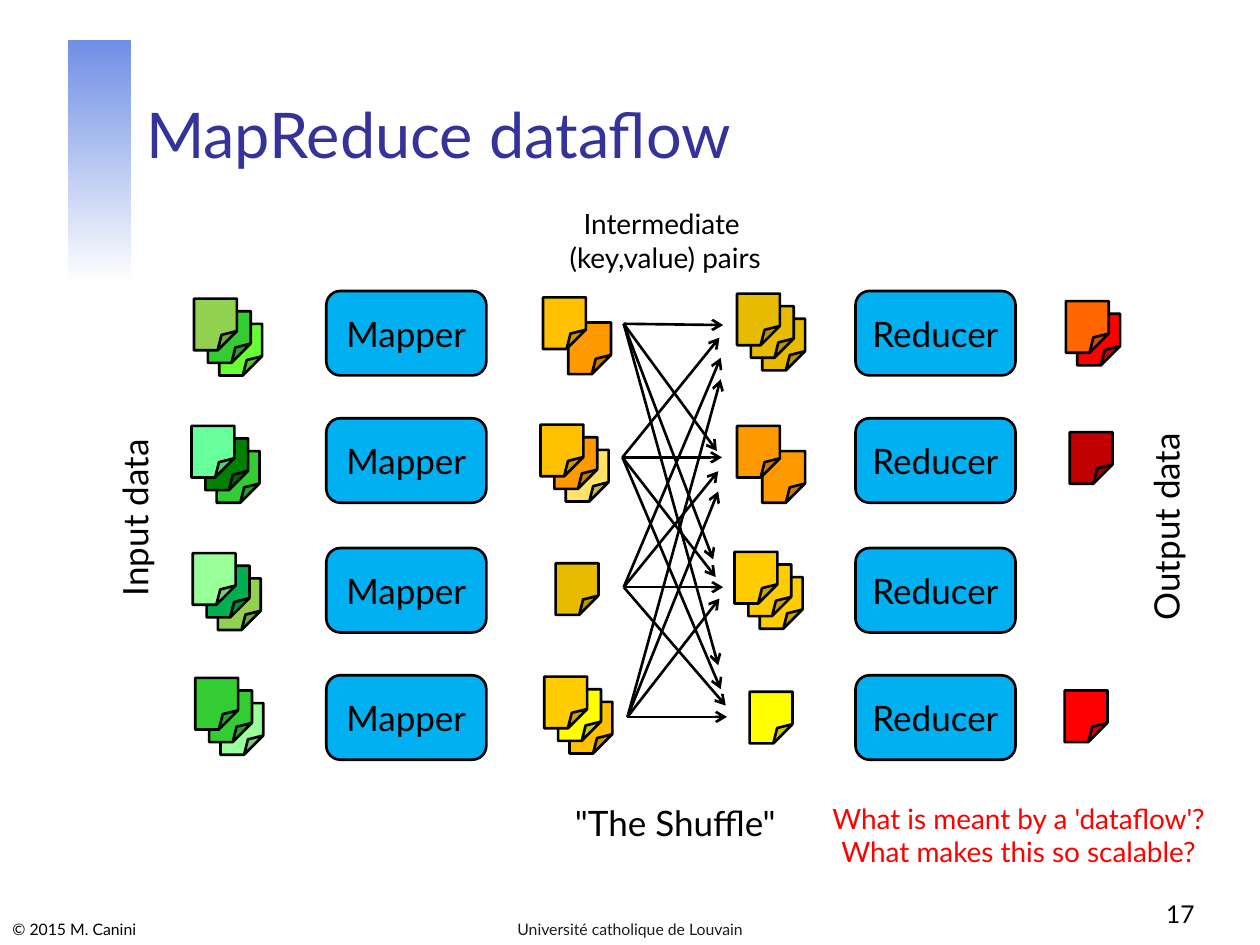
from lxml import etree
from pptx import Presentation
from pptx.dml.color import RGBColor
from pptx.enum.shapes import MSO_CONNECTOR, MSO_SHAPE
from pptx.enum.text import MSO_ANCHOR, PP_ALIGN
from pptx.oxml.ns import qn
from pptx.util import Inches, Pt

STRAIGHT = MSO_CONNECTOR.STRAIGHT
RECTANGLE, ROUNDED, FOLDED = MSO_SHAPE.RECTANGLE, MSO_SHAPE.ROUNDED_RECTANGLE, MSO_SHAPE.FOLDED_CORNER
TOP, MIDDLE, BOTTOM = MSO_ANCHOR.TOP, MSO_ANCHOR.MIDDLE, MSO_ANCHOR.BOTTOM
LEFT, CENTER, RIGHT = PP_ALIGN.LEFT, PP_ALIGN.CENTER, PP_ALIGN.RIGHT
FONT = "Lato"
BLACK, RED, BLUE = "000000", "FF0000", "00B0F0"

ROW_TOPS = (2.31, 3.32, 4.35, 5.36)
STAGES = {"Mapper": 2.59, "Reducer": 6.79}
STAGE_SIZE = (1.27, 0.67)
SHEET_SIZE = (0.34, 0.41)

# Offsets of the sheets in a stack, front sheet first
SINGLE = ((0, 0),)
NEAR = ((0, 0), (0.09, 0.1))
WIDE = ((0, 0), (0.2, 0.2))
TRIPLE = ((0, 0), (0.11, 0.1), (0.2, 0.2))

# Left, top, offsets and colours from front to back
STACKS = (
    # Input data
    (1.54, 2.37, TRIPLE, ("92D050", "33CC33", "66FF33")),
    (1.52, 3.38, TRIPLE, ("66FF99", "008000", "33CC33")),
    (1.53, 4.39, TRIPLE, ("99FF99", "00B050", "92D050")),
    (1.55, 5.38, TRIPLE, ("33CC33", "33CC33", "99FF99")),
    # Mapper results
    (4.31, 2.36, WIDE, ("FFC000", "FF9900")),
    (4.29, 3.37, TRIPLE, ("FFC000", "FF9900", "FFE267")),
    (4.41, 4.47, SINGLE, ("E7BB01",)),
    (4.32, 5.37, TRIPLE, ("FFCC00", "FFFF00", "FFC000")),
    # Reducer inputs
    (5.85, 2.33, TRIPLE, ("E7BB01",) * 3),
    (5.85, 3.38, WIDE, ("FF9900",) * 2),
    (5.83, 4.38, TRIPLE, ("FFCC00",) * 3),
    (5.95, 5.49, SINGLE, ("FFFF00",)),
    # Output data
    (8.46, 2.39, NEAR, ("FF6600", RED)),
    (8.49, 3.43, SINGLE, ("C00000",)),
    (8.45, 5.48, SINGLE, (RED,)),
)

# Start of each mapper's arrows, then their ends at the four reducers
SHUFFLE = (
    ((4.95, 2.57), ((5.74, 2.58), (5.69, 3.58), (5.66, 4.44), (5.7, 5.28))),
    ((4.94, 3.63), ((5.71, 2.68), (5.73, 3.63), (5.68, 4.58), (5.72, 5.47))),
    ((4.95, 4.66), ((5.72, 2.84), (5.7, 3.74), (5.74, 4.66), (5.76, 5.6))),
    ((4.98, 5.69), ((5.72, 3.01), (5.7, 3.9), (5.71, 4.75), (5.77, 5.69))),
)


def rgb(value):
    return RGBColor.from_string(value)


def inches(*lengths):
    return [Inches(length) for length in lengths]


def format_text(frame, size, color=BLACK, align=CENTER, anchor=TOP):
    frame.vertical_anchor = anchor
    for para in frame.paragraphs:
        para.alignment = align
        para.font.name = FONT
        para.font.size = Pt(size)
        para.font.color.rgb = rgb(color)


def add_label(page, text, place, size, color=BLACK, align=CENTER, anchor=TOP, wrap=False, rotation=0):
    box = page.shapes.add_textbox(*inches(*place))
    box.rotation = rotation
    frame = box.text_frame
    frame.word_wrap = wrap
    frame.text = text
    format_text(frame, size, color, align, anchor)


def add_outlined(page, kind, left, top, size, color):
    shape = page.shapes.add_shape(kind, *inches(left, top, *size))
    shape.shadow.inherit = False
    shape.fill.solid()
    shape.fill.fore_color.rgb = rgb(color)
    shape.line.color.rgb = rgb(BLACK)
    shape.line.width = Pt(1.5)
    return shape


def add_stage(page, name, left, top):
    box = add_outlined(page, ROUNDED, left, top, STAGE_SIZE, BLUE)
    box.text_frame.text = name
    format_text(box.text_frame, 20, anchor=MIDDLE)


def add_stack(page, left, top, offsets, colors):
    for (right, down), color in reversed(list(zip(offsets, colors))):
        sheet = add_outlined(page, FOLDED, left + right, top + down, SHEET_SIZE, color)
        guides = next(sheet.element.iter(qn("a:avLst")))
        etree.SubElement(guides, qn("a:gd"), name="adj", fmla="val 44800")


def add_arrow(page, start, end):
    arrow = page.shapes.add_connector(STRAIGHT, *inches(*start, *end))
    arrow.line.color.rgb = rgb(BLACK)
    arrow.line.width = Pt(1.5)
    properties = arrow.element.spPr
    etree.SubElement(properties.find(qn("a:ln")), qn("a:tailEnd"), type="arrow")
    etree.SubElement(properties, qn("a:effectLst"))


def add_gradient_bar(page):
    bar = page.shapes.add_shape(RECTANGLE, *inches(0.54, 0.32, 0.5, 1.93))
    bar.shadow.inherit = False
    bar.line.fill.background()
    bar.fill.gradient()
    bar.fill.gradient_angle = 270
    for stop, color, position in zip(bar.fill.gradient_stops, ("708FE6", "FFFFFF"), (0, 1)):
        stop.color.rgb = rgb(color)
        stop.position = position


def set_title(page, text):
    title = page.shapes.title
    title.left, title.top, title.width, title.height = inches(1.06, 0.33, 8.52, 1.08)
    title.text_frame.text = text
    format_text(title.text_frame, 36, "333399", LEFT, BOTTOM)


def add_footer(page):
    add_label(page, "© 2015 M. Canini", (0, 7.22, 3.02, 0.28), 9, align=LEFT, anchor=BOTTOM, wrap=True)
    add_label(page, "Université catholique de Louvain", (3.42, 7.22, 3.16, 0.28), 9, "1C1C1C",
              anchor=BOTTOM, wrap=True)
    add_label(page, "17", (7.5, 6.92, 2.08, 0.5), 14, align=RIGHT, anchor=BOTTOM, wrap=True)


def main():
    deck = Presentation()
    deck.slide_width, deck.slide_height = inches(10, 7.5)
    page = deck.slides.add_slide(deck.slide_layouts.get_by_name("Title Only"))

    add_gradient_bar(page)
    set_title(page, "MapReduce dataflow")
    for name, left in STAGES.items():
        for top in ROW_TOPS:
            add_stage(page, name, left, top)
    for stack in STACKS:
        add_stack(page, *stack)
    for start, ends in SHUFFLE:
        for end in ends:
            add_arrow(page, start, end)

    add_label(page, "Input data", (0.32, 3.89, 1.5, 0.44), 20, rotation=270)
    add_label(page, "Output data", (8.41, 3.96, 1.69, 0.44), 20, rotation=270)
    add_label(page, '"The Shuffle"', (4.44, 6.31, 1.84, 0.44), 20)
    add_label(page, "Intermediate \v(key,value) pairs", (4.37, 1.59, 1.82, 0.64), 16)
    add_label(page, "What is meant by a 'dataflow'?\vWhat makes this so scalable?",
              (6.46, 6.31, 3.25, 0.64), 16, RED)
    add_footer(page)
    deck.save("out.pptx")


if __name__ == "__main__":
    main()
